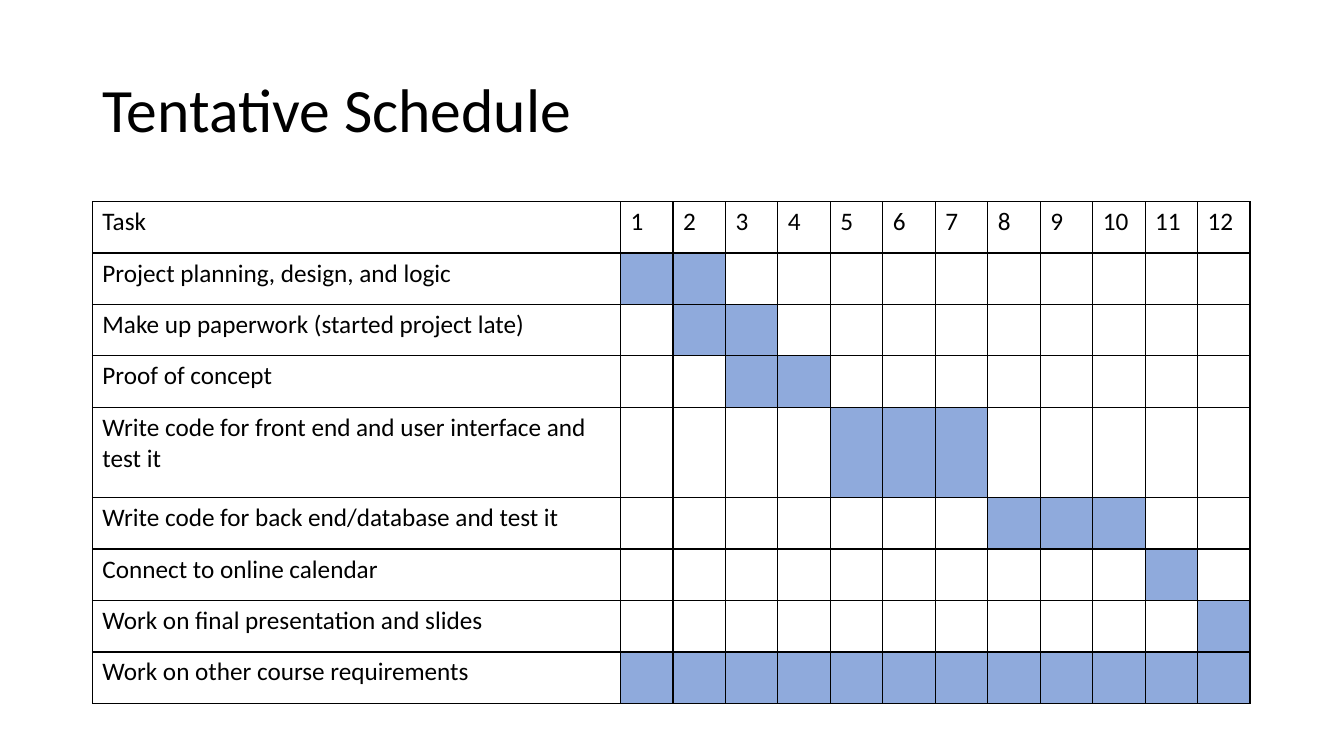
from lxml import etree
from pptx import Presentation
from pptx.dml.color import RGBColor
from pptx.enum.text import MSO_ANCHOR
from pptx.oxml import parse_xml
from pptx.util import Pt

PX = 9525
FONT = "Calibri"
BLACK = RGBColor(0x00, 0x00, 0x00)
BLUE = RGBColor(0x8F, 0xAA, 0xDC)
MIDDLE = MSO_ANCHOR.MIDDLE
DRAWING_NS = "http://schemas.openxmlformats.org/drawingml/2006/main"

WEEKS = 12
TASK_WIDTH, WEEK_WIDTH = 503, 50
ROW_HEIGHT, TALL_ROW_HEIGHT = 49, 86
TALL_ROW = 4

TASKS = [
    ("Project planning, design, and logic", 1, 2),
    ("Make up paperwork (started project late)", 2, 3),
    ("Proof of concept", 3, 4),
    ("Write code for front end and user interface and test it", 5, 7),
    ("Write code for back end/database and test it", 8, 10),
    ("Connect to online calendar", 11, 11),
    ("Work on final presentation and slides", 12, 12),
    ("Work on other course requirements", 1, 12),
]


def style_text(paragraph, size):
    paragraph.font.name = FONT
    paragraph.font.size = Pt(size)
    paragraph.font.color.rgb = BLACK
    for run in paragraph.runs:
        run.font.name = FONT
        run.font.size = Pt(size)
        run.font.color.rgb = BLACK


def add_borders(cell):
    properties = cell._tc.get_or_add_tcPr()
    for position, side in enumerate(("lnL", "lnR", "lnT", "lnB")):
        border = parse_xml(f'<a:{side} xmlns:a="{DRAWING_NS}" w="12700"/>')
        fill = etree.SubElement(border, f"{{{DRAWING_NS}}}solidFill")
        etree.SubElement(fill, f"{{{DRAWING_NS}}}srgbClr", val=str(BLACK))
        properties.insert(position, border)


presentation = Presentation()
presentation.slide_width = 1280 * PX
presentation.slide_height = 720 * PX
slide = presentation.slides.add_slide(presentation.slide_layouts[6])

title = slide.shapes.add_textbox(88 * PX, 38 * PX, 1104 * PX, 139 * PX)
title.text_frame.word_wrap = True
title.text_frame.vertical_anchor = MIDDLE
title.text_frame.text = "Tentative Schedule"
title.text_frame.paragraphs[0].line_spacing = 0.9
style_text(title.text_frame.paragraphs[0], 44)

table_width = TASK_WIDTH + WEEKS * WEEK_WIDTH
table_height = len(TASKS) * ROW_HEIGHT + TALL_ROW_HEIGHT
schedule = slide.shapes.add_table(
    len(TASKS) + 1, WEEKS + 1,
    88 * PX, 192 * PX, table_width * PX, table_height * PX,
).table
schedule.first_row = False
schedule.horz_banding = False

for index, column in enumerate(schedule.columns):
    column.width = (WEEK_WIDTH if index else TASK_WIDTH) * PX
for index, row in enumerate(schedule.rows):
    row.height = (TALL_ROW_HEIGHT if index == TALL_ROW else ROW_HEIGHT) * PX

for week in range(1, WEEKS + 1):
    schedule.cell(0, week).text_frame.text = str(week)
schedule.cell(0, 0).text_frame.text = "Task"
for row_index, (task, start, end) in enumerate(TASKS, 1):
    schedule.cell(row_index, 0).text_frame.text = task
    for week in range(start, end + 1):
        cell = schedule.cell(row_index, week)
        cell.fill.solid()
        cell.fill.fore_color.rgb = BLUE

for cell in schedule.iter_cells():
    if cell.fill.type is None:
        cell.fill.background()
    add_borders(cell)
    style_text(cell.text_frame.paragraphs[0], 18)

presentation.save("out.pptx")
